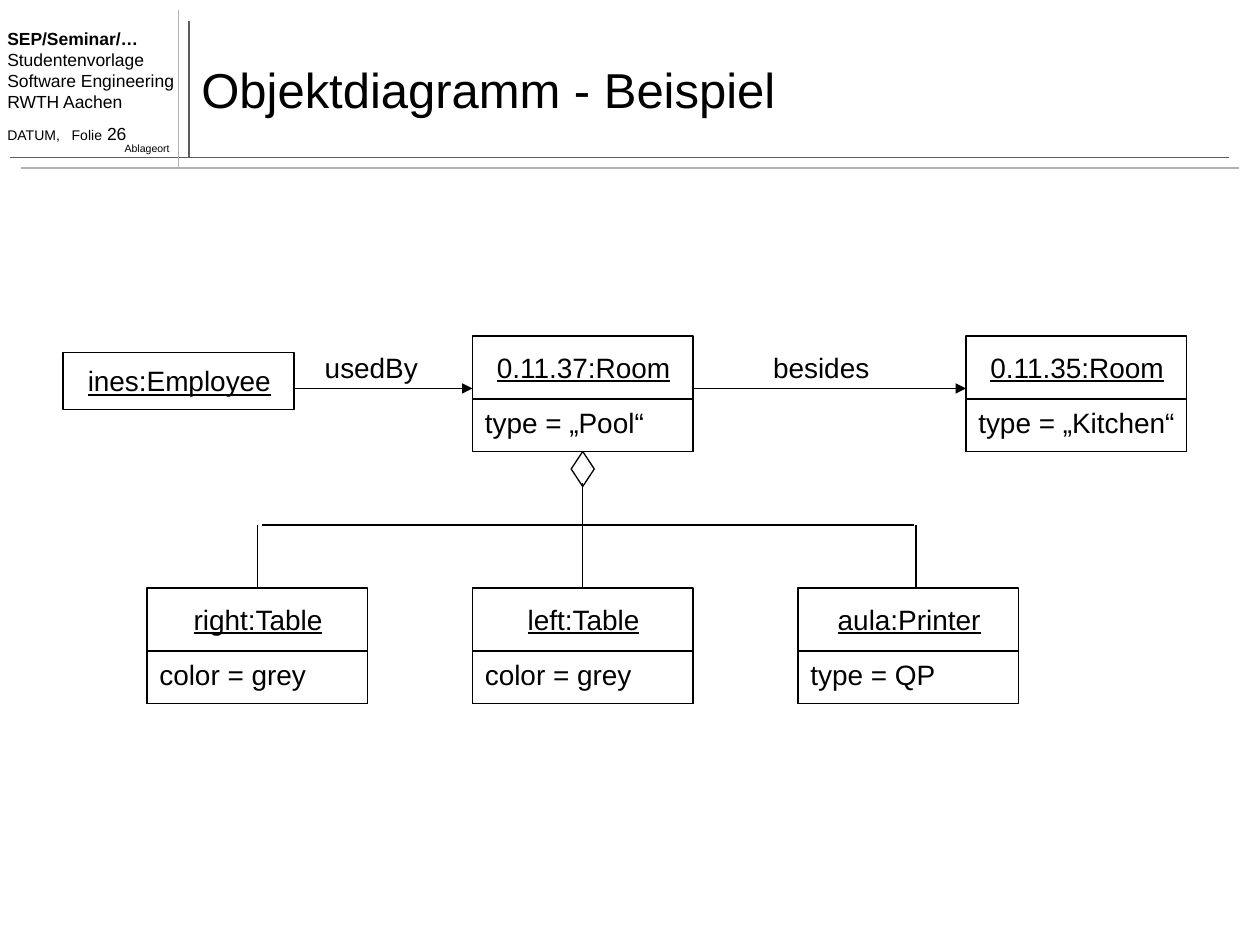
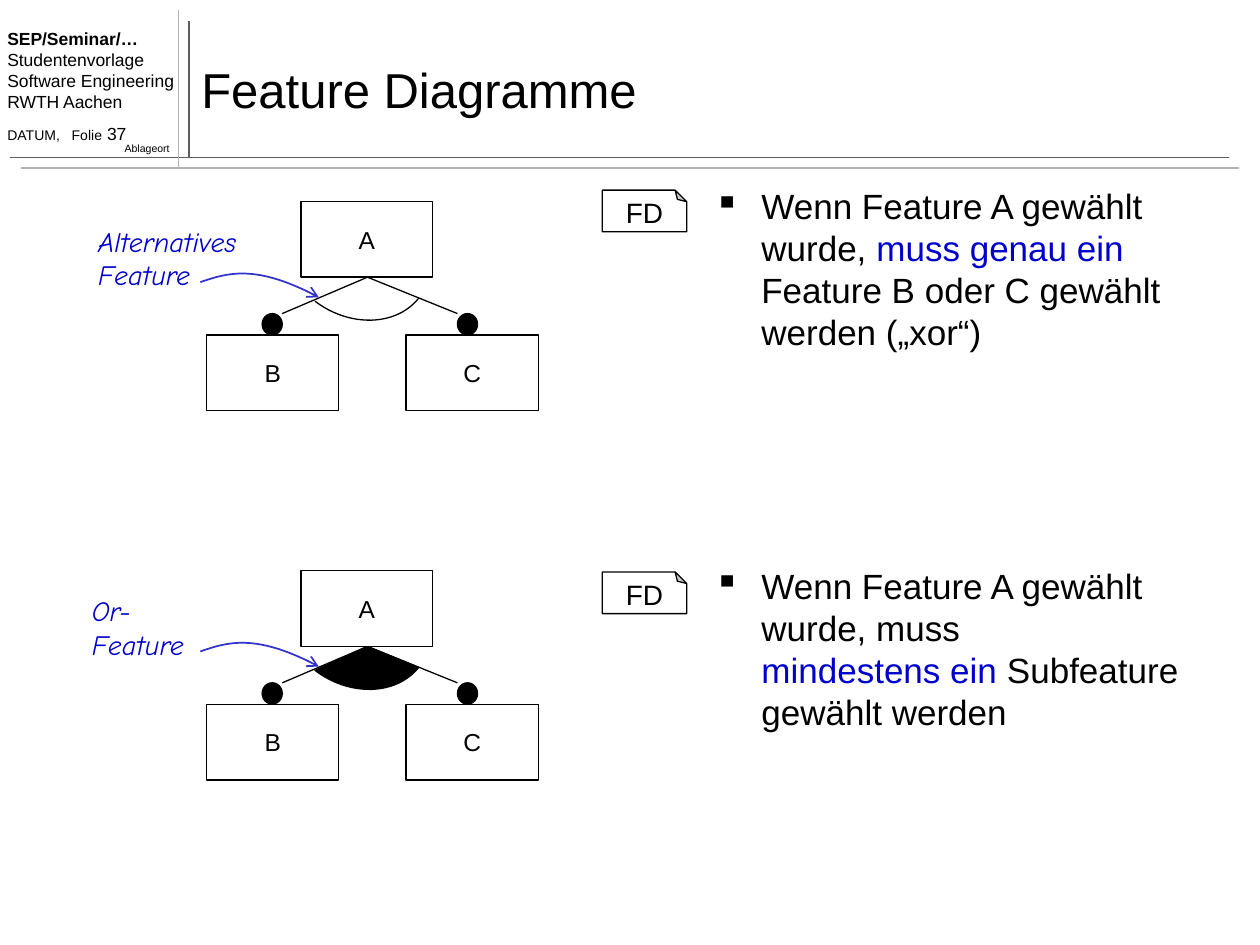
from dataclasses import dataclass

from lxml.etree import SubElement
from pptx import Presentation
from pptx.dml.color import RGBColor
from pptx.enum.shapes import MSO_CONNECTOR as Link, MSO_SHAPE as Preset
from pptx.enum.text import MSO_ANCHOR as Anchor, PP_ALIGN as Align
from pptx.oxml.ns import qn
from pptx.util import Pt


@dataclass(frozen=True)
class Theme:
    """Colours, fonts and type sizes of the deck."""
    ink: str = "000000"
    paper: str = "FFFFFF"
    dark_rule: str = "5C5C5C"
    light_rule: str = "B2B2B2"
    accent: str = "0000CC"
    pointer: str = "3333CC"
    font: str = "Arial"
    note_font: str = "Comic Neue"
    title: int = 28
    body: int = 20
    label: int = 16
    feature: int = 14
    header: int = 10
    date: int = 8
    place: int = 6
    thin: float = 0.75
    rule: float = 1


THEME = Theme()


def write(paragraph, text, size=THEME.label, color=THEME.ink, font=THEME.font,
          bold=False, italic=False, underline=False, align=Align.LEFT):
    """Append formatted text to a paragraph, with a line break at each newline."""
    paragraph.alignment = align
    for index, line in enumerate(text.split("\n")):
        if index:
            paragraph.add_line_break()
        if line:
            run = paragraph.add_run()
            run.text = line
            style = run.font
            style.size, style.name = Pt(size), font
            style.bold, style.italic, style.underline = bold, italic, underline
            style.color.rgb = RGBColor.from_string(color)


def bezier(start, control_a, control_b, end, steps=24):
    """Return points along a cubic curve."""
    points = []
    for step in range(steps + 1):
        t = step / steps
        weights = ((1 - t) ** 3, 3 * t * (1 - t) ** 2, 3 * t * t * (1 - t), t ** 3)
        corners = (start, control_a, control_b, end)
        points.append(tuple(sum(w * c[axis] for w, c in zip(weights, corners))
                            for axis in (0, 1)))
    return points


class Sketch:
    """Draws the elements of the deck on the current slide."""

    def __init__(self, theme):
        """Start an empty 10 by 7.5 inch deck."""
        self.theme = theme
        self.deck = Presentation()
        self.deck.slide_width, self.deck.slide_height = Pt(720), Pt(540)
        self.slide = None

    def new_slide(self, title, number):
        """Add a slide with the shared header and its title."""
        theme = self.theme
        self.slide = self.deck.slides.add_slide(self.deck.slide_layouts[6])
        for start, end, color in (
            ((108, 90), (108, 12), theme.dark_rule),
            ((6, 90), (702, 90), theme.dark_rule),
            ((12, 96), (708, 96), theme.light_rule),
            ((102, 96), (102, 6), theme.light_rule),
        ):
            self.line(start, end, color=color, width=theme.rule)

        header = self.frame(-2.9, 12.2, 111, 74)
        course = header.paragraphs[0]
        write(course, "SEP/Seminar/…", size=theme.header, bold=True)
        for line in ("Studentenvorlage\nSoftware Engineering", "RWTH Aachen"):
            write(header.add_paragraph(), line, size=theme.header)
        dating = header.add_paragraph()
        tabs = SubElement(dating._p.get_or_add_pPr(), qn("a:tabLst"))
        SubElement(tabs, qn("a:tab"), pos=str(Pt(36.8)), algn="l")
        dating.space_before = Pt(6.2)
        write(dating, "DATUM,\tFolie", size=theme.date)
        write(dating, f" {number}", size=theme.header)

        self.label("Ablageort", 54, 77.8, 50, 14, size=theme.place, align=Align.RIGHT)
        self.label(title, 108, 18, 600, 66, anchor=Anchor.MIDDLE, size=theme.title)

    def frame(self, x, y, width, height, anchor=Anchor.TOP):
        """Add a wrapping text box and return its text frame."""
        frame = self.slide.shapes.add_textbox(Pt(x), Pt(y), Pt(width), Pt(height)).text_frame
        frame.word_wrap = True
        frame.vertical_anchor = anchor
        return frame

    def label(self, text, x, y, width, height=26.6, anchor=Anchor.TOP, **style):
        """Add a text box with one paragraph."""
        write(self.frame(x, y, width, height, anchor).paragraphs[0], text, **style)

    def finish(self, shape, fill=None, color=THEME.ink, width=THEME.thin):
        """Give a shape its fill and outline without a shadow."""
        shape.shadow.inherit = False
        if fill:
            shape.fill.solid()
            shape.fill.fore_color.rgb = RGBColor.from_string(fill)
        else:
            shape.fill.background()
        shape.line.color.rgb = RGBColor.from_string(color)
        shape.line.width = Pt(width)

    def shape(self, preset, x, y, width, height, text="", fill=None, **style):
        """Add a preset shape with optional centred text."""
        shape = self.slide.shapes.add_shape(preset, Pt(x), Pt(y), Pt(width), Pt(height))
        self.finish(shape, fill)
        if text:
            shape.text_frame.word_wrap = False
            shape.text_frame.vertical_anchor = Anchor.MIDDLE
            write(shape.text_frame.paragraphs[0], text, align=Align.CENTER, **style)
        return shape

    def line(self, start, end, color=THEME.ink, width=THEME.thin, head=None):
        """Add a straight connector with an optional arrowhead at its end."""
        link = self.slide.shapes.add_connector(
            Link.STRAIGHT, *(Pt(value) for value in (*start, *end)))
        link.line.color.rgb = RGBColor.from_string(color)
        link.line.width = Pt(width)
        properties = link.element.spPr
        if head:
            SubElement(properties.get_or_add_ln(), qn("a:tailEnd"), type=head)
        SubElement(properties, qn("a:effectLst"))

    def outline(self, points, close=False, head=None, **look):
        """Add a freeform through the points."""
        first, *others = [(Pt(x), Pt(y)) for x, y in points]
        builder = self.slide.shapes.build_freeform(*first)
        builder.add_line_segments(others, close=close)
        shape = builder.convert_to_shape()
        self.finish(shape, **look)
        if head:
            SubElement(shape.element.spPr.get_or_add_ln(), qn("a:tailEnd"), type=head)

    def uml_object(self, name, attribute, x, y):
        """Add an object box with its name and attribute compartments."""
        self.shape(Preset.RECTANGLE, x, y, 126, 66)
        self.label(name, x, y + 4.5, 127, underline=True, align=Align.CENTER)
        self.shape(Preset.RECTANGLE, x, y + 36, 126, 30)
        self.label(attribute, x, y + 36, 136)

    def feature_tree(self, note, note_x, top, group_fill=None):
        """Add parent A with features B and C, their group arc and a note."""
        theme = self.theme
        apex = (210, top + 43.2)
        for name, box_x, dot_x, link_x in (
            ("B", 118, 149.8, 161.3), ("C", 232, 261.4, 261.4),
        ):
            self.shape(Preset.RECTANGLE, box_x, top + 76.3, 75.6, 43.2, name,
                       size=theme.feature)
            self.shape(Preset.OVAL, dot_x, top + 64, 11.5, 12.2, fill=theme.ink)
            self.line(apex, (link_x, top + 64))
        arc = bezier((239.3, top + 55.2), (226.5, top + 71.3),
                     (199.8, top + 72), (180, top + 56.9))
        if group_fill:
            self.outline(arc + [apex], close=True, fill=group_fill)
        else:
            self.outline(arc)
        self.shape(Preset.RECTANGLE, 172, top, 75.2, 43.2, "A", fill=theme.paper,
                   size=theme.feature)
        pointer = bezier((114.5, top + 46.1), (131, top + 40.3),
                         (146.9, top + 36), (182.2, top + 54.7))
        self.outline(pointer, head="arrow", color=theme.pointer, width=theme.rule)
        self.label(note, note_x, top + 9.4, 105, 46, font=theme.note_font,
                   color=theme.accent, italic=True)

    def diagram_badge(self, y):
        """Add the FD sheet with its folded corner at the top."""
        sheet = self.shape(Preset.FOLDED_CORNER, 344.2, y, 48.2, 23.8, "FD",
                           fill=self.theme.paper)
        properties = sheet.element.spPr
        fold = next(properties.iter(qn("a:avLst")))
        SubElement(fold, qn("a:gd"), name="adj", fmla="val 27600")
        properties.find(qn("a:xfrm")).set("flipV", "1")
        sheet.text_frame._txBody.find(qn("a:bodyPr")).set("rot", "10800000")
        sheet.text_frame.paragraphs[0].line_spacing = 0.7

    def bullets(self, items, x, y, width, height, gap):
        """Add bulleted paragraphs made of plain and accented parts."""
        frame = self.frame(x, y, width, height)
        for index, parts in enumerate(items):
            item = frame.add_paragraph() if index else frame.paragraphs[0]
            properties = item._p.get_or_add_pPr()
            properties.set("marL", str(Pt(27)))
            properties.set("indent", str(Pt(-27)))
            SubElement(properties, qn("a:buChar"), char="▪")
            if index:
                item.space_before = Pt(gap)
            for text, color in parts:
                write(item, text, size=self.theme.body, color=color)


def object_diagram(sketch):
    """Build the object diagram slide."""
    sketch.new_slide("Objektdiagramm - Beispiel", 26)
    sketch.uml_object("0.11.37:Room", "type = „Pool“", 270, 192)
    sketch.uml_object("0.11.35:Room", "type = „Kitchen“", 552, 192)
    sketch.shape(Preset.RECTANGLE, 36, 201.6, 132, 32.4)
    sketch.label("ines:Employee", 36, 204.5, 133, underline=True, align=Align.CENTER)
    for relation, label_x, start, end in (
        ("usedBy", 178.5, 168, 270), ("besides", 434.7, 396, 552),
    ):
        sketch.line((start, 222), (end, 222), head="triangle")
        sketch.label(relation, label_x, 196.5, 80)

    parts = (("right:Table", "color = grey", 147),
             ("left:Table", "color = grey", 333),
             ("aula:Printer", "type = QP", 523.4))
    for column, (name, attribute, stem) in enumerate(parts):
        sketch.uml_object(name, attribute, 84 + 186 * column, 336)
        sketch.line((stem, 300), (stem, 336))
    sketch.line((150, 300), (522, 300))
    sketch.shape(Preset.DIAMOND, 326.4, 258, 13.2, 20)
    sketch.line((333, 276), (333, 300))


def feature_diagrams(sketch):
    """Build the feature diagram slide."""
    ink, accent = sketch.theme.ink, sketch.theme.accent
    sketch.new_slide("Feature Diagramme", 37)
    sketch.bullets((
        (("Wenn Feature A gewählt wurde, ", ink), ("muss genau ein", accent),
         (" Feature B oder C gewählt werden („xor“)", ink)),
        (("Wenn Feature A gewählt wurde, muss\n", ink), ("mindestens ein", accent),
         (" Subfeature gewählt werden", ink)),
    ), 401, 102, 307, 426, gap=121)
    sketch.feature_tree("Alternatives\nFeature", 49, 115.2)
    sketch.feature_tree("Or-\nFeature", 45.4, 326.2, group_fill=ink)
    for y in (108.7, 326.9):
        sketch.diagram_badge(y)


def main():
    """Build and save the deck."""
    sketch = Sketch(THEME)
    object_diagram(sketch)
    feature_diagrams(sketch)
    sketch.deck.save("out.pptx")


if __name__ == "__main__":
    main()
